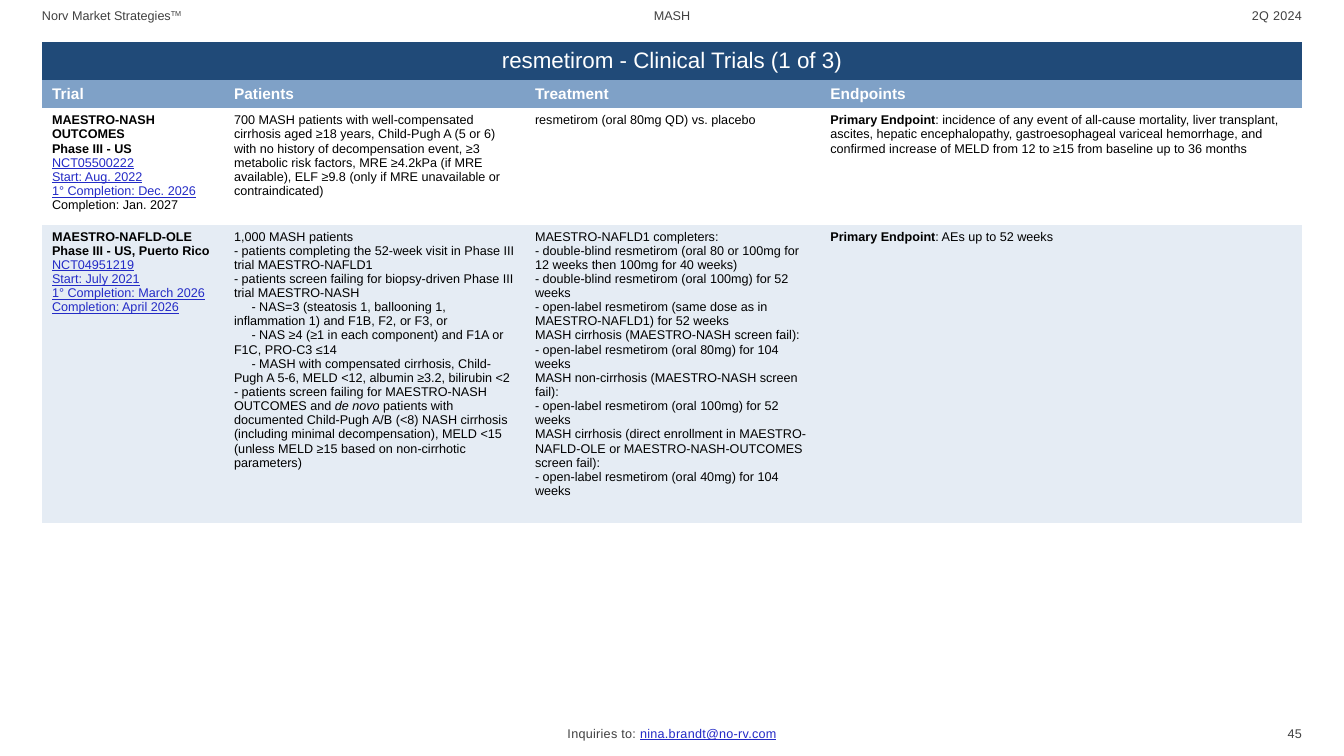
from pptx import Presentation
from pptx.dml.color import RGBColor
from pptx.enum.text import MSO_ANCHOR, PP_ALIGN
from pptx.util import Pt

NAVY, STEEL, PALE, WHITE = "204A78", "7FA1C7", "E5ECF4", "FFFFFF"
BLACK, GREY, LINK = "000000", "404040", "232AC6"
MARGIN, TABLE_WIDTH = 30, 900
COLUMN_WIDTHS = [130, 215, 211, 344]
ROW_HEIGHTS = [27, 19.3, 78, 198.6]
NO_STYLE = "{2D5ABB26-0587-4C30-8999-92F81FD0307C}"
SUB_INDENT = Pt(12.5)

# Each cell is a list of lines; a line is a string or a list of (text, style) runs
HEADINGS = ["Trial", "Patients", "Treatment", "Endpoints"]
OUTCOMES_TRIAL = [
    [
        [("MAESTRO-NASH OUTCOMES", "bold")],
        [("Phase III - US", "bold")],
        [("NCT05500222", "link")],
        [("Start: Aug. 2022", "link")],
        [("1° Completion: Dec. 2026", "link")],
        "Completion: Jan. 2027",
    ],
    ["700 MASH patients with well-compensated cirrhosis aged ≥18 years, "
     "Child-Pugh A (5 or 6) with no history of decompensation event, ≥3 metabolic "
     "risk factors, MRE ≥4.2kPa (if MRE available), ELF ≥9.8 (only if MRE "
     "unavailable or contraindicated)"],
    ["resmetirom (oral 80mg QD) vs. placebo"],
    [[("Primary Endpoint", "bold"),
      (": incidence of any event of all-cause mortality, liver transplant, ascites, "
       "hepatic encephalopathy, gastroesophageal variceal hemorrhage, and confirmed "
       "increase of MELD from 12 to ≥15 from baseline up to 36 months", "")]],
]
OLE_TRIAL = [
    [
        [("MAESTRO-NAFLD-OLE", "bold")],
        [("Phase III - US, Puerto Rico", "bold")],
        [("NCT04951219", "link")],
        [("Start: July 2021", "link")],
        [("1° Completion: March 2026", "link")],
        [("Completion: April 2026", "link")],
    ],
    [
        "1,000 MASH patients",
        "- patients completing the 52-week visit in Phase III trial MAESTRO-NAFLD1",
        "- patients screen failing for biopsy-driven Phase III trial MAESTRO-NASH",
        [("- NAS=3 (steatosis 1, ballooning 1, inflammation 1) and F1B, F2, or F3, or",
          "sub")],
        [("- NAS ≥4 (≥1 in each component) and F1A or F1C, PRO-C3 ≤14", "sub")],
        [("- MASH with compensated cirrhosis, Child-Pugh A 5-6, MELD <12, "
          "albumin ≥3.2, bilirubin <2", "sub")],
        [("- patients screen failing for MAESTRO-NASH OUTCOMES and ", ""),
         ("de novo ", "italic"),
         ("patients with documented Child-Pugh A/B (<8) NASH cirrhosis (including "
          "minimal decompensation), MELD <15 (unless MELD ≥15 based on "
          "non-cirrhotic parameters)", "")],
    ],
    [
        "MAESTRO-NAFLD1 completers:",
        "- double-blind resmetirom (oral 80 or 100mg for 12 weeks then 100mg for 40 weeks)",
        "- double-blind resmetirom (oral 100mg) for 52 weeks",
        "- open-label resmetirom (same dose as in MAESTRO-NAFLD1) for 52 weeks",
        "MASH cirrhosis (MAESTRO-NASH screen fail):",
        "- open-label resmetirom (oral 80mg) for 104 weeks",
        "MASH non-cirrhosis (MAESTRO-NASH screen fail):",
        "- open-label resmetirom (oral 100mg) for 52 weeks",
        "MASH cirrhosis (direct enrollment in MAESTRO-NAFLD-OLE or "
        "MAESTRO-NASH-OUTCOMES screen fail):",
        "- open-label resmetirom (oral 40mg) for 104 weeks",
    ],
    [[("Primary Endpoint", "bold"), (": AEs up to 52 weeks", "")]],
]


def colour(hex_value):
    return RGBColor.from_string(hex_value)


def add_run(paragraph, text, style, size, ink, spacing=0):
    run = paragraph.add_run()
    run.text = text
    font = run.font
    font.name, font.size = "Arial", Pt(size)
    font.bold = style == "bold"
    font.italic = style == "italic"
    font.underline = style == "link"
    font.color.rgb = colour(LINK if style == "link" else ink)
    properties = run._r.get_or_add_rPr()
    if style == "super":
        properties.set("baseline", "30000")
    if spacing:
        properties.set("spc", str(spacing))


def write_lines(frame, lines, size, ink, align=PP_ALIGN.LEFT, spacing=0):
    for index, line in enumerate(lines):
        paragraph = frame.add_paragraph() if index else frame.paragraphs[0]
        paragraph.alignment = align
        runs = [(line, "")] if isinstance(line, str) else line
        if runs[0][1] == "sub":
            properties = paragraph._p.get_or_add_pPr()
            properties.set("marL", "0")
            properties.set("indent", str(SUB_INDENT))
        for text, style in runs:
            add_run(paragraph, text, style, size, ink, spacing)


def add_label(slide, left, top, width, line, align, anchor, spacing=0):
    frame = slide.shapes.add_textbox(Pt(left), Pt(top), Pt(width), Pt(21.6)).text_frame
    frame.word_wrap = True
    frame.margin_left = frame.margin_right = frame.margin_top = frame.margin_bottom = 0
    frame.vertical_anchor = anchor
    write_lines(frame, [line], 9, GREY, align, spacing)


def fill_cell(cell, lines, fill, size=9, ink=BLACK, align=PP_ALIGN.LEFT,
              anchor=MSO_ANCHOR.TOP):
    if fill:
        cell.fill.solid()
        cell.fill.fore_color.rgb = colour(fill)
    else:
        cell.fill.background()
    cell.margin_left = cell.margin_right = Pt(7.2)
    cell.margin_top = cell.margin_bottom = Pt(3.6)
    cell.vertical_anchor = anchor
    write_lines(cell.text_frame, lines, size, ink, align)


def add_trials_table(slide):
    table = slide.shapes.add_table(
        len(ROW_HEIGHTS), len(COLUMN_WIDTHS), Pt(MARGIN), Pt(MARGIN),
        Pt(TABLE_WIDTH), Pt(sum(ROW_HEIGHTS))).table
    table.first_row = table.horz_banding = False
    table._tbl.tblPr[0].text = NO_STYLE
    for column, width in zip(table.columns, COLUMN_WIDTHS):
        column.width = Pt(width)
    for row, height in zip(table.rows, ROW_HEIGHTS):
        row.height = Pt(height)

    # Title band
    title = table.cell(0, 0)
    title.merge(table.cell(0, len(COLUMN_WIDTHS) - 1))
    fill_cell(title, ["resmetirom - Clinical Trials (1 of 3)"], NAVY, 16, WHITE,
              PP_ALIGN.CENTER, MSO_ANCHOR.MIDDLE)

    # Column headings
    for column, heading in enumerate(HEADINGS):
        fill_cell(table.cell(1, column), [[(heading, "bold")]], STEEL, 11, WHITE,
                  anchor=MSO_ANCHOR.MIDDLE)

    # Trials
    for row, (trial, fill) in enumerate([(OUTCOMES_TRIAL, None), (OLE_TRIAL, PALE)], 2):
        for column, lines in enumerate(trial):
            fill_cell(table.cell(row, column), lines, fill)


def main():
    deck = Presentation()
    deck.slide_width, deck.slide_height = Pt(960), Pt(540)
    slide = deck.slides.add_slide(deck.slide_layouts[6])

    # Page header
    middle, top = MSO_ANCHOR.MIDDLE, MSO_ANCHOR.TOP
    add_label(slide, MARGIN, 0, 163, [("Norv Market Strategies", ""), ("TM", "super")],
              PP_ALIGN.LEFT, middle)
    add_label(slide, 347, 0, 266, "MASH", PP_ALIGN.CENTER, middle)
    add_label(slide, 756, 0, 174, "2Q 2024", PP_ALIGN.RIGHT, middle, 20)

    add_trials_table(slide)

    # Page footer
    add_label(slide, 385, 518.4, 190,
              [("Inquiries to: ", ""), ("nina.brandt@no-rv.com", "link")],
              PP_ALIGN.CENTER, top, 20)
    add_label(slide, 894, 518.4, 36, "45", PP_ALIGN.RIGHT, top, 20)

    deck.save("out.pptx")


if __name__ == "__main__":
    main()
